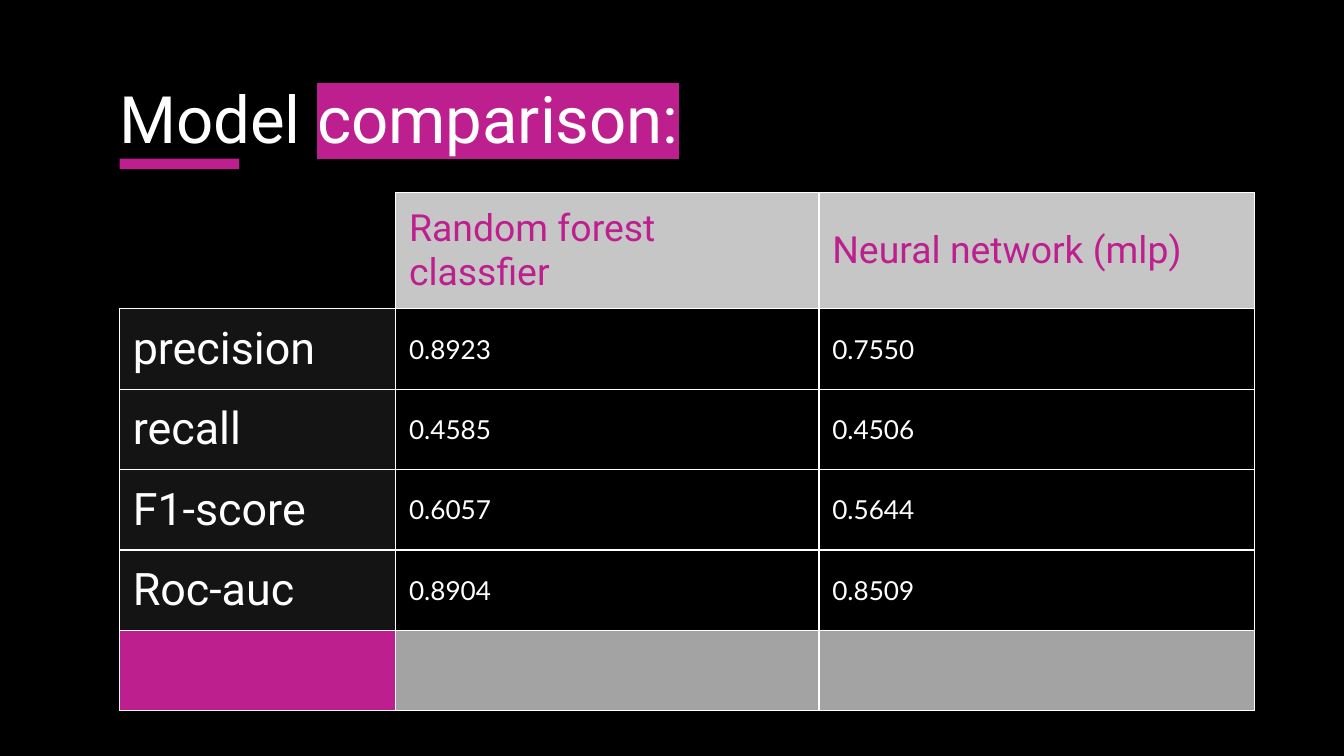
from pptx import Presentation
from pptx.dml.color import RGBColor
from pptx.enum.shapes import MSO_SHAPE
from pptx.enum.text import MSO_ANCHOR
from pptx.oxml.ns import qn
from pptx.util import Cm, Pt
from lxml.etree import SubElement

TITLE = [("Model ", False), ("comparison:", True)]
ROWS = [
    ("", "Random forest classfier", "Neural network (mlp)"),
    ("precision", "0.8923", "0.7550"),
    ("recall", "0.4585", "0.4506"),
    ("F1-score", "0.6057", "0.5644"),
    ("Roc-auc", "0.8904", "0.8509"),
    ("", "", ""),
]
COL_WIDTHS = (5.22, 8.0, 8.23)
ROW_HEIGHT = 1.52
LEFT = 2.26
MARGINS = {"margin_left": Cm(0.25), "margin_right": Cm(0.32),
           "margin_top": Cm(0.25), "margin_bottom": Cm(0.25)}

THEME = {
    "back": "000000", "accent": "BE1F8E", "line": "FFFFFF",
    "header": "C6C6C6", "label": "141414", "footer": "A3A3A3",
    "title_text": {"name": "Roboto", "size": Pt(35), "color": "FFFFFF"},
    "header_text": {"name": "Roboto", "size": Pt(20), "color": "BE1F8E"},
    "label_text": {"name": "Roboto", "size": Pt(24), "color": "FFFFFF"},
    "value_text": {"name": "Lato", "size": Pt(14), "color": "FFFFFF"},
}


def set_format(target, values):
    for key, value in values.items():
        setattr(target, key, value)


def set_fill(fill, color):
    if color is None:
        fill.background()
    else:
        fill.solid()
        fill.fore_color.rgb = RGBColor.from_string(color)


def add_run(p, text, style):
    r = p.add_run()
    r.text = text
    for key, value in style.items():
        if key == "color":
            r.font.color.rgb = RGBColor.from_string(value)
        else:
            setattr(r.font, key, value)
    return r


def highlight(r, color):
    mark = SubElement(r.font._element, qn("a:highlight"))
    SubElement(mark, qn("a:srgbClr"), val=color)
    r.font._element.find(qn("a:solidFill")).addnext(mark)


def set_borders(cell, hidden):
    """Rule every side of the cell except the hidden ones."""
    tc_pr = cell._tc.get_or_add_tcPr()
    for i, side in enumerate("LRTB"):
        ln = SubElement(tc_pr, qn(f"a:ln{side}"), w=str(Pt(0.75)))
        tc_pr.insert(i, ln)
        if side in hidden:
            SubElement(ln, qn("a:noFill"))
        else:
            fill = SubElement(ln, qn("a:solidFill"))
            SubElement(fill, qn("a:srgbClr"), val=THEME["line"])


def cell_look(row, col):
    """Return the fill colour and text style for a place in the grid."""
    if row == 0:
        return (THEME["header"] if col else None), THEME["header_text"]
    if row == len(ROWS) - 1:
        return THEME["footer" if col else "accent"], THEME["value_text"]
    if col == 0:
        return THEME["label"], THEME["label_text"]
    return None, THEME["value_text"]


def add_title(s):
    tf = s.shapes.add_textbox(Cm(2), Cm(1.24), Cm(21.41), Cm(1.6)).text_frame
    set_format(tf, {"word_wrap": True, "vertical_anchor": MSO_ANCHOR.TOP, **MARGINS})
    tf.margin_top = Cm(0.24)
    for text, marked in TITLE:
        r = add_run(tf.paragraphs[0], text, THEME["title_text"])
        if marked:
            highlight(r, THEME["accent"])

    sp = s.shapes.add_shape(MSO_SHAPE.RECTANGLE, Cm(LEFT), Cm(3), Cm(2.26), Cm(0.2))
    sp.shadow.inherit = False
    set_fill(sp.fill, THEME["accent"])
    sp.line.fill.background()


def add_scores(s):
    table = s.shapes.add_table(
        len(ROWS), len(COL_WIDTHS), Cm(LEFT), Cm(3.64),
        Cm(sum(COL_WIDTHS)), Cm(ROW_HEIGHT * len(ROWS))).table
    table.first_row = table.horz_banding = False
    for column, width in zip(table.columns, COL_WIDTHS):
        column.width = Cm(width)
    for i, texts in enumerate(ROWS):
        table.rows[i].height = Cm(ROW_HEIGHT)
        for j, text in enumerate(texts):
            cell = table.cell(i, j)
            color, style = cell_look(i, j)
            set_format(cell, {"vertical_anchor": MSO_ANCHOR.MIDDLE, **MARGINS})
            set_fill(cell.fill, color)
            set_borders(cell, hidden="LT" if i == j == 0 else "")
            if text:
                add_run(cell.text_frame.paragraphs[0], text, style)


def main():
    prs = Presentation()
    prs.slide_width, prs.slide_height = Cm(25.4), Cm(14.29)
    s = prs.slides.add_slide(prs.slide_layouts[6])
    set_fill(s.background.fill, THEME["back"])
    add_title(s)
    add_scores(s)
    prs.save("out.pptx")


if __name__ == "__main__":
    main()
